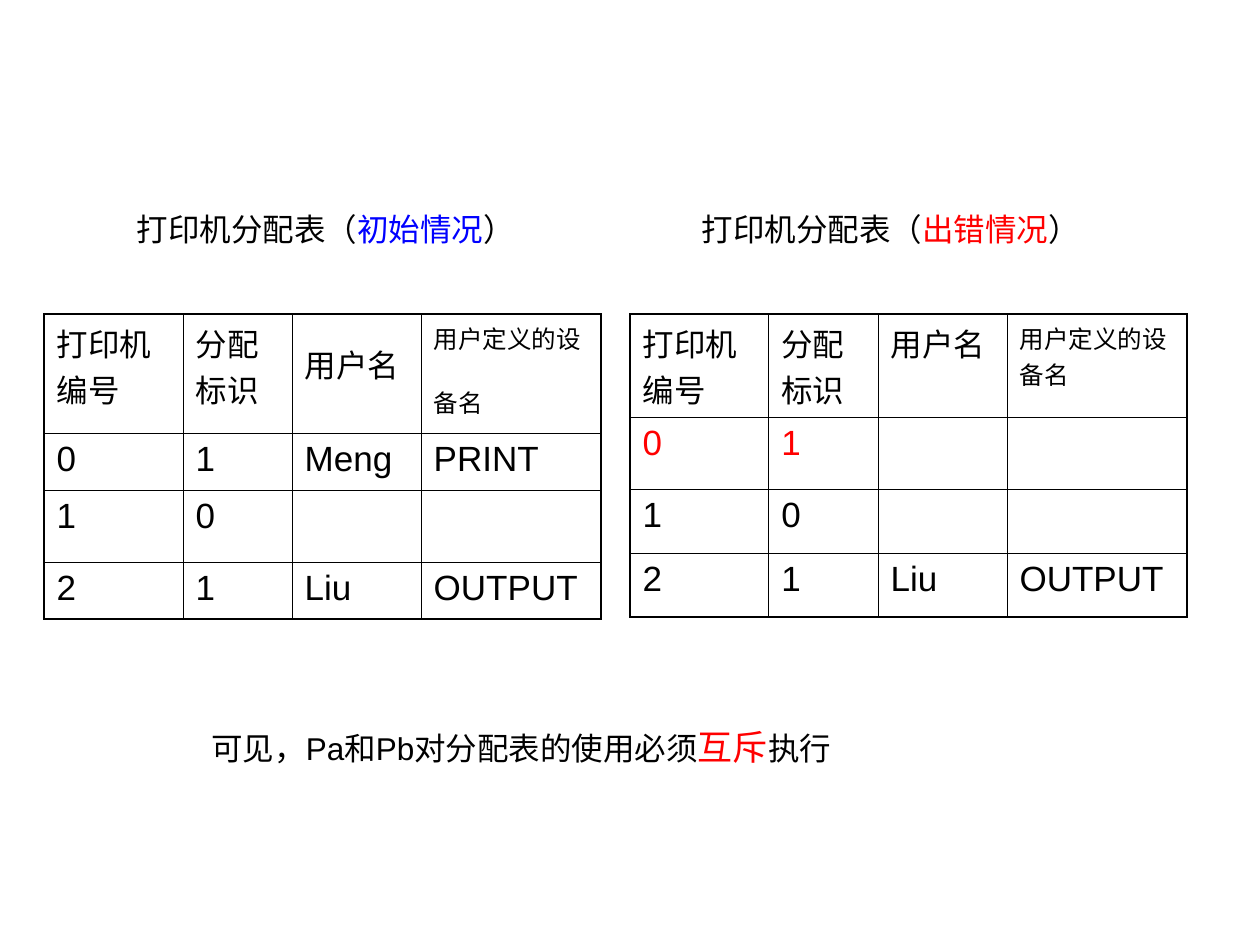
import lxml.etree
import pptx
import pptx.dml.color
import pptx.enum.text
import pptx.oxml.ns
import pptx.util

Cm, Pt = pptx.util.Cm, pptx.util.Pt
BLACK, RED, BLUE = "000000", "FF0000", "0000FF"
THIN, THICK = 0.45, 1.08
COLUMN_WIDTHS = [2.8, 2.2, 2.6, 3.63]
HEADINGS = [("打印机编号", 18), ("分配标识", 18), ("用户名", 18), ("用户定义的设备名", 14)]


def colour(value):
    return pptx.dml.color.RGBColor.from_string(value)


def write_spans(para, spans):
    """Fill a paragraph from (text, size, colour) triples."""
    for text, size, tint in spans:
        span = para.add_run()
        span.text = text
        span.font.name = "Arial"
        span.font.size = Pt(size)
        span.font.color.rgb = colour(tint)


def draw_borders(cell, widths):
    """Draw black borders from a mapping of side (L, R, T, B) to points."""
    properties = cell._tc.get_or_add_tcPr()
    for side, width in widths.items():
        line = lxml.etree.SubElement(
            properties, pptx.oxml.ns.qn(f"a:ln{side}"), w=str(Pt(width)))
        fill = lxml.etree.SubElement(line, pptx.oxml.ns.qn("a:solidFill"))
        lxml.etree.SubElement(fill, pptx.oxml.ns.qn("a:srgbClr"), val=BLACK)


def add_allocation_table(page, left, top, row_heights, rows):
    """Place a printer table; rows holds one list of spans per cell."""
    last_row, last_column = len(rows) - 1, len(COLUMN_WIDTHS) - 1
    frame = page.shapes.add_table(
        len(rows), len(COLUMN_WIDTHS), Cm(left), Cm(top),
        Cm(sum(COLUMN_WIDTHS)), Cm(sum(row_heights)))
    table = frame.table
    table.first_row = table.horz_banding = False
    for column, width in zip(table.columns, COLUMN_WIDTHS):
        column.width = Cm(width)
    for row, height in zip(table.rows, row_heights):
        row.height = Cm(height)
    for r, row in enumerate(rows):
        for c, spans in enumerate(row):
            cell = table.cell(r, c)
            write_spans(cell.text_frame.paragraphs[0], spans)
            draw_borders(cell, {
                "L": THICK if c == 0 else THIN,
                "R": THICK if c == last_column else THIN,
                "T": THICK if r == 0 else THIN,
                "B": THICK if r == last_row else THIN,
            })
            cell.fill.background()


def heading_row(tall_columns=()):
    """Return heading cells; tall columns end in a larger space."""
    return [
        [(text, size, BLACK)] + ([(" ", 28, BLACK)] if c in tall_columns else [])
        for c, (text, size) in enumerate(HEADINGS)
    ]


def data_row(*values, tint=BLACK):
    return [[(value, 20, tint)] if value else [] for value in values]


def add_label(page, left, top, width, height, spans):
    box = page.shapes.add_textbox(Cm(left), Cm(top), Cm(width), Cm(height))
    frame = box.text_frame
    frame.word_wrap = False
    frame.auto_size = pptx.enum.text.MSO_AUTO_SIZE.SHAPE_TO_FIT_TEXT
    write_spans(frame.paragraphs[0], spans)
    return box


def add_caption(page, left, top, state, tint):
    add_label(page, left, top, 8.13, 1.02, [
        ("打印机分配表（", 18, BLACK), (state, 18, tint), ("）", 18, BLACK)])


def add_conclusion(page, left, top):
    box = add_label(page, left, top, 13.74, 1.12, [
        ("可见，Pa和Pb对分配表的使用必须", 18, BLACK),
        ("互斥", 20, RED),
        ("执行", 18, BLACK),
    ])
    box.text_frame.vertical_anchor = pptx.enum.text.MSO_ANCHOR.MIDDLE


def main():
    deck = pptx.Presentation()
    deck.slide_width, deck.slide_height = Cm(25.4), Cm(19.05)
    page = deck.slides.add_slide(deck.slide_layouts[6])

    liu_row = data_row("2", "1", "Liu", "OUTPUT")
    free_row = data_row("1", "0", "", "")
    add_allocation_table(page, 0.89, 6.33, [2.03, 1.16, 1.45, 1.14], [
        heading_row(tall_columns=(2, 3)),
        data_row("0", "1", "Meng", "PRINT"), free_row, liu_row])
    add_allocation_table(page, 12.7, 6.33, [1.8, 1.45, 1.29, 1.27], [
        heading_row(),
        data_row("0", "1", "", "", tint=RED), free_row, liu_row])

    add_caption(page, 2.51, 4.11, "初始情况", BLUE)
    add_caption(page, 13.9, 4.11, "出错情况", RED)
    add_conclusion(page, 4.01, 14.48)
    deck.save("out.pptx")


if __name__ == "__main__":
    main()
